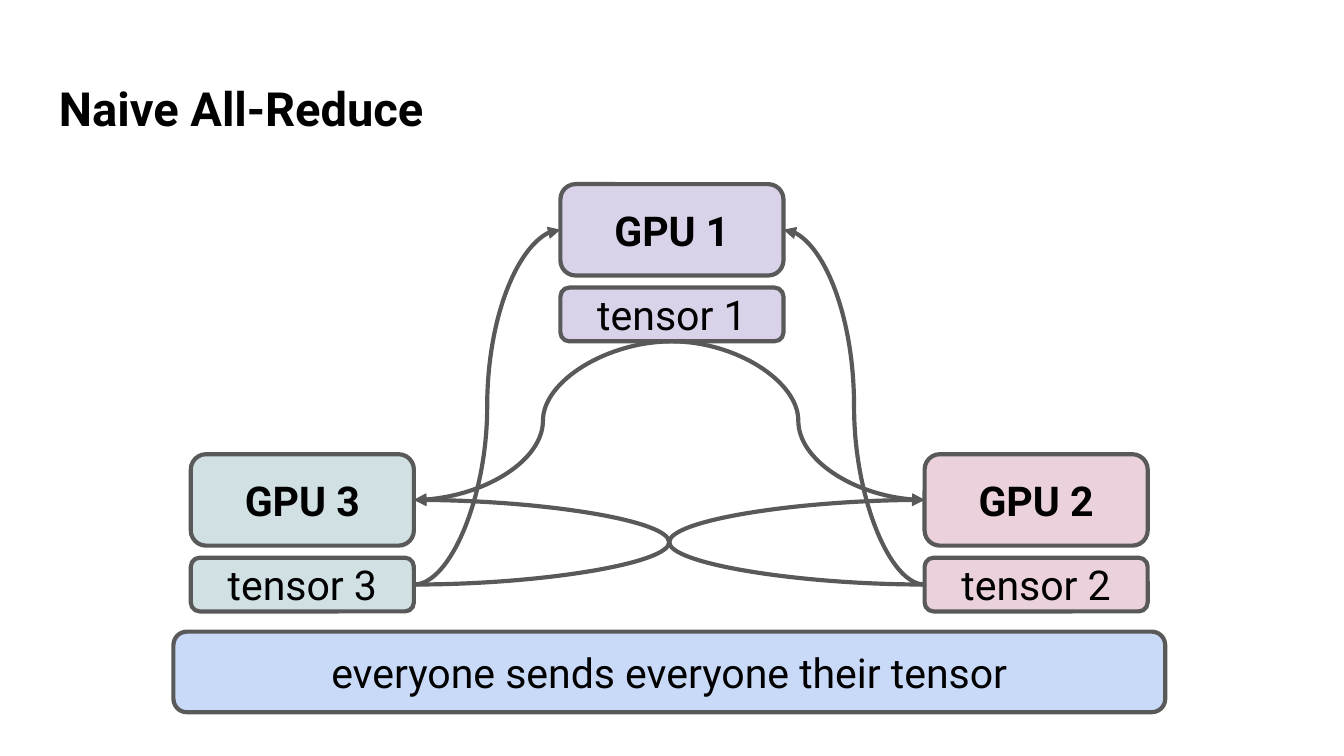
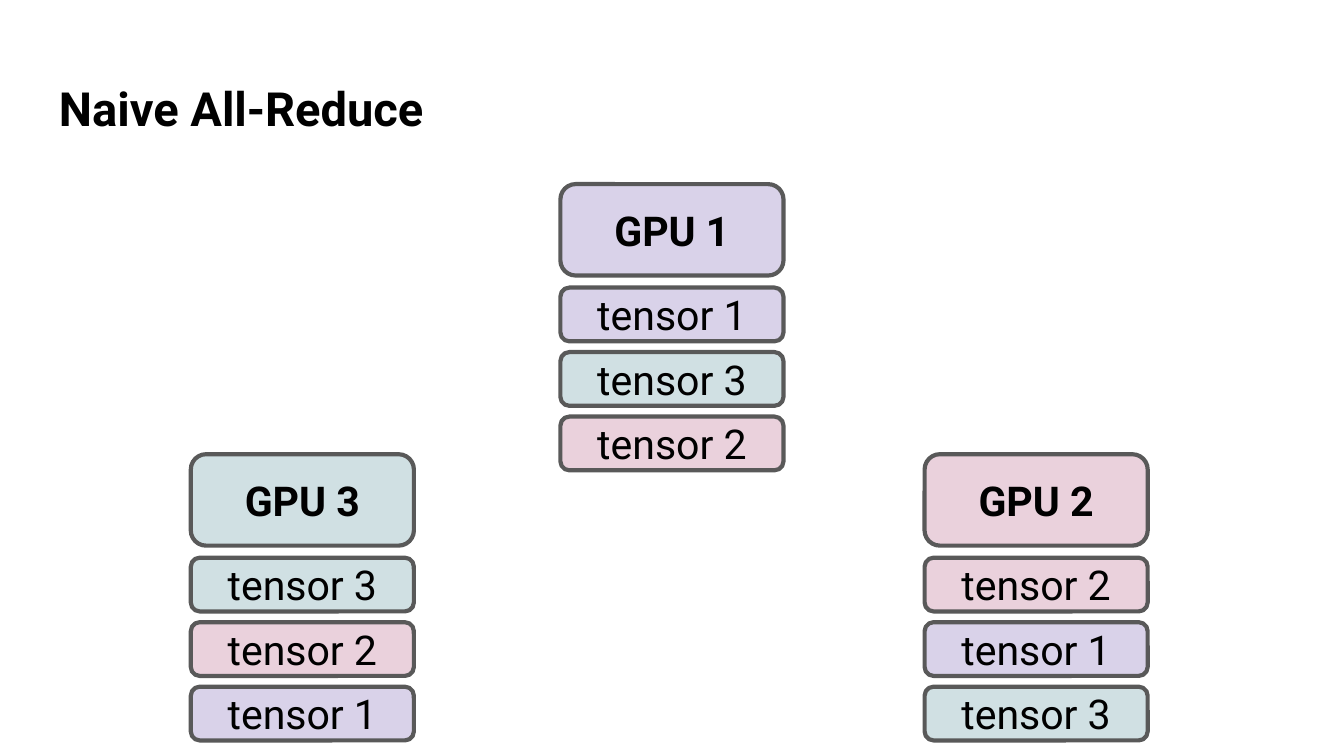
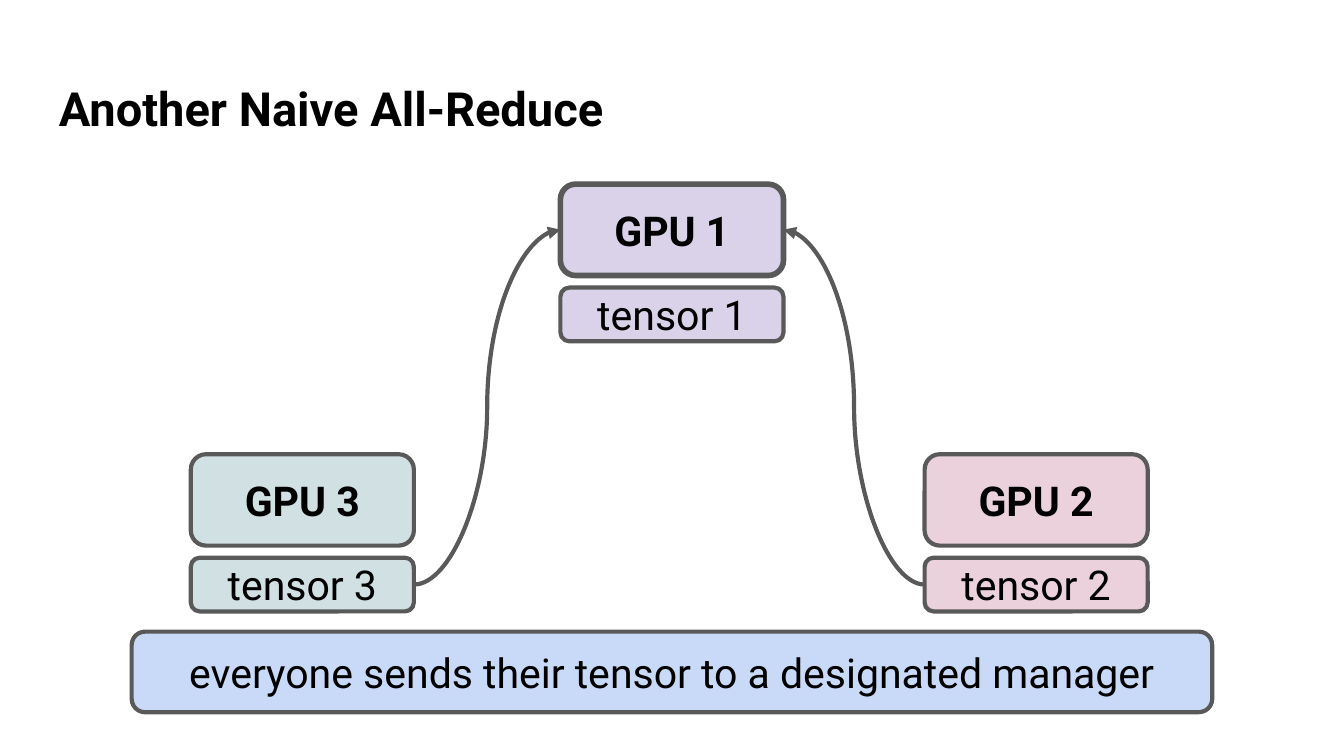
from lxml import etree
from pptx import Presentation
from pptx import util as u
from pptx.dml.color import RGBColor
from pptx.enum import shapes, text
from pptx.oxml import ns

COLORS = {
    "text": "000000",
    "line": "595959",
    "note": "C9DAF8",
    1: "D9D2E9",
    2: "EAD1DC",
    3: "D0E0E3",
}
FONT = "Roboto"
SLIDE_W = 10
SLIDE_H = SLIDE_W * 9 / 16
LINE_PT = 2.25

NODE_W, GPU_H, TENSOR_H = 1.66, 0.68, 0.4
TENSOR_DROP = 0.77   # top of a GPU to the top of its first tensor
TENSOR_STEP = 0.48
NODES = {1: (4.17, 1.37), 2: (6.88, 3.38), 3: (1.42, 3.38)}


def rgb(name):
    return RGBColor.from_string(COLORS[name])


def write(sp, words, size, bold=False, align=None, anchor=None):
    tf = sp.text_frame
    tf.word_wrap = True
    tf.vertical_anchor = anchor
    tf.margin_left = tf.margin_right = u.Inches(0.1)
    tf.margin_top = tf.margin_bottom = u.Inches(0.1)
    p = tf.paragraphs[0]
    p.alignment = align
    r = p.add_run()
    r.text = words
    r.font.name = FONT
    r.font.size = u.Pt(size)
    r.font.bold = bold
    r.font.color.rgb = rgb("text")


def add_title(s, words):
    sp = s.shapes.add_textbox(*map(u.Inches, (0.34, 0.49, 9.32, 0.63)))
    write(sp, words, 25.2, bold=True, anchor=text.MSO_ANCHOR.TOP)


def add_box(s, words, x, y, w, h, fill, bold=False, line_pt=LINE_PT):
    sp = s.shapes.add_shape(shapes.MSO_SHAPE.ROUNDED_RECTANGLE,
                            *map(u.Inches, (x, y, w, h)))
    sp.shadow.inherit = False
    sp.fill.solid()
    sp.fill.fore_color.rgb = rgb(fill)
    sp.line.color.rgb = rgb("line")
    sp.line.width = u.Pt(line_pt)
    write(sp, words, 22, bold, text.PP_ALIGN.CENTER, text.MSO_ANCHOR.MIDDLE)


def add_node(s, gpu, tensors, line_pt=LINE_PT):
    """A GPU with the tensors it holds stacked below it."""
    x, y = NODES[gpu]
    add_box(s, f"GPU {gpu}", x, y, NODE_W, GPU_H, gpu, True, line_pt)
    for i, tensor in enumerate(tensors):
        add_box(s, f"tensor {tensor}", x, y + TENSOR_DROP + i * TENSOR_STEP,
                NODE_W, TENSOR_H, tensor)


def add_note(s, words, x, w):
    add_box(s, words, x, 4.7, w, 0.6, "note")


def add_send(s, sender, receiver):
    """Curved arrow from the sender's first tensor to the receiving GPU."""
    x1, y1 = NODES[sender]
    x2, y2 = NODES[receiver]
    if sender == 1:
        start = x1 + NODE_W / 2, y1 + TENSOR_DROP + TENSOR_H
    else:
        start = x1 + (NODE_W if x1 < x2 else 0), y1 + TENSOR_DROP + TENSOR_H / 2
    end = x2 + (NODE_W if x2 < x1 else 0), y2 + GPU_H / 2
    c = s.shapes.add_connector(shapes.MSO_CONNECTOR.CURVE,
                               *map(u.Inches, start + end))
    c.line.color.rgb = rgb("line")
    c.line.width = u.Pt(LINE_PT)
    ln = c._element.spPr.find(ns.qn("a:ln"))
    etree.SubElement(ln, ns.qn("a:tailEnd"), type="triangle")
    etree.SubElement(c._element.spPr, ns.qn("a:effectLst"))


def add_reduce_slide(prs, title, held, sends=(), note=None, manager=None):
    """Note is its words, left and width."""
    s = prs.slides.add_slide(prs.slide_layouts[6])
    add_title(s, title)
    for gpu, tensors in held.items():
        add_node(s, gpu, tensors, 3 if gpu == manager else LINE_PT)
    for sender, receiver in sends:
        add_send(s, sender, receiver)
    if note:
        add_note(s, *note)


def main():
    prs = Presentation()
    prs.slide_width, prs.slide_height = u.Inches(SLIDE_W), u.Inches(SLIDE_H)
    own = {gpu: [gpu] for gpu in NODES}
    add_reduce_slide(prs, "Naive All-Reduce", own,
                     [(3, 1), (3, 2), (1, 3), (2, 3), (1, 2), (2, 1)],
                     ("everyone sends everyone their tensor", 1.29, 7.38))
    add_reduce_slide(prs, "Naive All-Reduce",
                     {1: [1, 3, 2], 2: [2, 1, 3], 3: [3, 2, 1]})
    add_reduce_slide(prs, "Another Naive All-Reduce", own, [(3, 1), (2, 1)],
                     ("everyone sends their tensor to a designated manager",
                      0.98, 8.04),
                     manager=1)
    prs.save("out.pptx")


if __name__ == "__main__":
    main()
